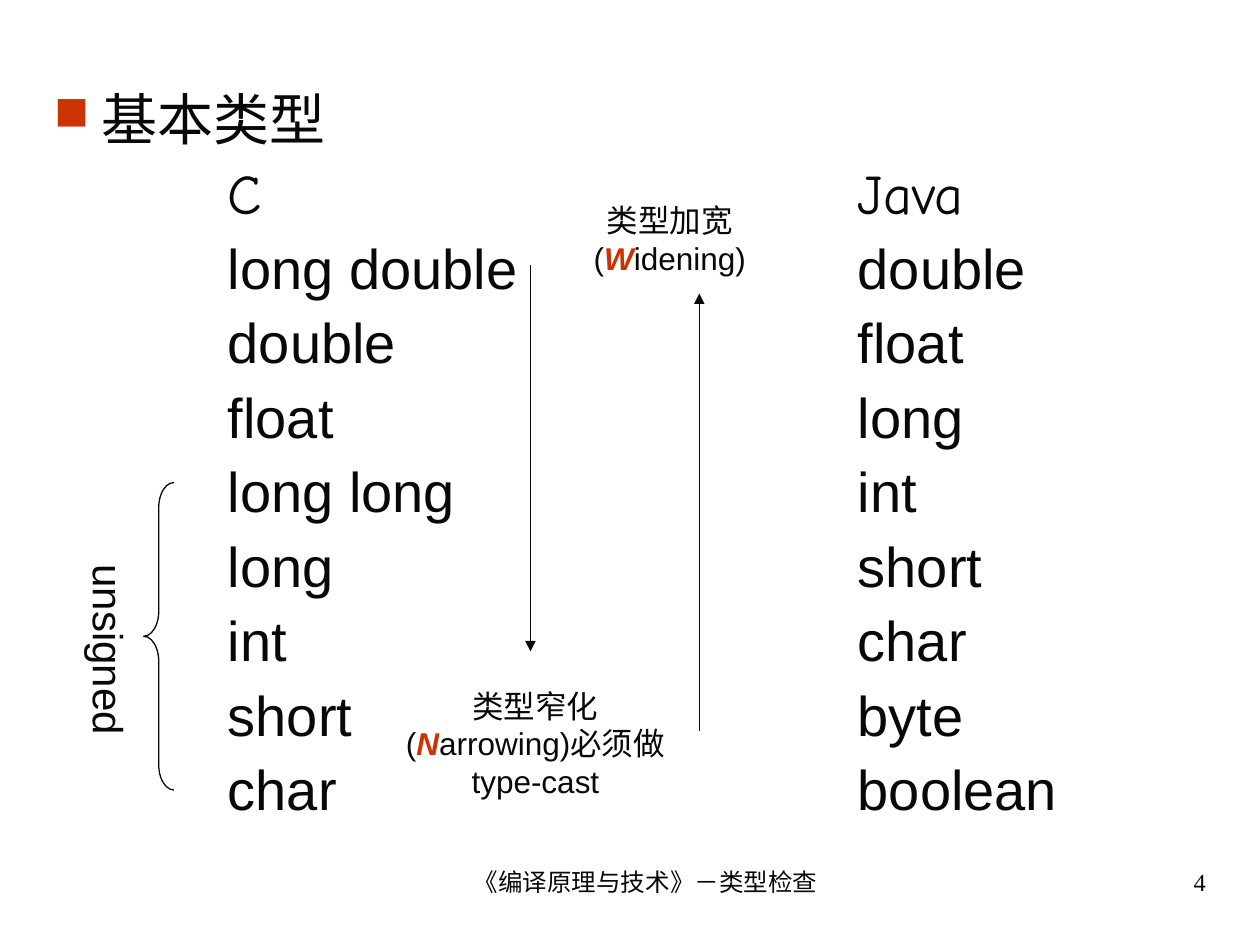
"""Build a slide that compares the basic types of C and Java."""
from lxml import etree
from pptx import Presentation
from pptx.dml.color import RGBColor
from pptx.enum.shapes import MSO_CONNECTOR, MSO_SHAPE
from pptx.enum.text import PP_ALIGN
from pptx.oxml.ns import qn
from pptx.util import Inches, Pt

STRAIGHT, LEFT_BRACE = MSO_CONNECTOR.STRAIGHT, MSO_SHAPE.LEFT_BRACE
LEFT, CENTER, RIGHT = PP_ALIGN.LEFT, PP_ALIGN.CENTER, PP_ALIGN.RIGHT
INK = RGBColor(0x08, 0x08, 0x08)
ACCENT = RGBColor(0xCC, 0x33, 0x00)

HEADING = "基本类型"
LANGUAGES = ("C", "Java")
TYPE_ROWS = [
    ("long double", "double"),
    ("double", "float"),
    ("float", "long"),
    ("long long", "int"),
    ("long", "short"),
    ("int", "char"),
    ("short", "byte"),
    ("char", "boolean"),
]
COLUMN_STOPS = (1.38, 6.38)
HEADING_INDENT = 0.38
CONVERSIONS = [
    (("类型窄化(", "N", "arrowing)必须做type-cast"), (3.03, 5.4, 2.44, 1), (4.21, 2.1, 4.21, 5.17)),
    (("类型加宽(", "W", "idening)"), (4.37, 1.55, 1.89, 0.7), (5.55, 5.8, 5.55, 2.33)),
]
FOOTERS = [
    ("《编译原理与技术》－类型检查", (3.54, 6.83, 3.17, 0.52), CENTER),
    ("4", (7.17, 6.83, 2.5, 0.52), RIGHT),
]


def add_element(parent, tag, **attributes):
    element = etree.SubElement(parent, qn(tag))
    for key, value in attributes.items():
        element.set(key, str(value))
    return element


def add_frame(slide, bounds):
    frame = slide.shapes.add_textbox(*map(Inches, bounds)).text_frame
    frame.word_wrap = True
    return frame


def add_run(paragraph, text, size, font="Arial", color=INK, emphasis=False):
    run = paragraph.add_run()
    run.text = text
    run.font.size = Pt(size)
    run.font.name = font
    run.font.color.rgb = color
    run.font.bold = run.font.italic = emphasis


def add_type_list(slide):
    frame = add_frame(slide, (0.33, 0.68, 9.34, 5.99))
    heading = frame.paragraphs[0]
    heading.line_spacing = 0.9
    properties = heading._p.get_or_add_pPr()
    properties.set("marL", str(Inches(HEADING_INDENT)))
    properties.set("indent", str(-Inches(HEADING_INDENT)))
    bullet_color = add_element(properties, "a:buClr")
    add_element(bullet_color, "a:srgbClr", val=ACCENT)
    add_element(properties, "a:buSzPct", val=85000)
    add_element(properties, "a:buChar", char="■")
    add_run(heading, HEADING, 32)

    for row in [LANGUAGES, *TYPE_ROWS]:
        line = frame.add_paragraph()
        line.line_spacing = 0.9
        line.space_before = Pt(8)
        stops = add_element(line._p.get_or_add_pPr(), "a:tabLst")
        for stop in COLUMN_STOPS:
            add_element(stops, "a:tab", pos=Inches(stop), algn="l")
        font = "Comic Neue" if row is LANGUAGES else "Arial"
        add_run(line, "".join("\t" + name for name in row), 32, font)


def add_arrow(slide, ends):
    arrow = slide.shapes.add_connector(STRAIGHT, *map(Inches, ends))
    arrow.line.color.rgb = INK
    arrow.line.width = Pt(0.75)
    add_element(arrow.line._get_or_add_ln(), "a:tailEnd", type="triangle")
    add_element(arrow._element.spPr, "a:effectLst")


def add_unsigned_group(slide):
    brace = slide.shapes.add_shape(LEFT_BRACE, *map(Inches, (1.14, 3.83, 0.24, 2.44)))
    brace.shadow.inherit = False
    brace.fill.background()
    brace.line.color.rgb = INK
    brace.line.width = Pt(0.75)
    brace.adjustments[0] = 0.83

    frame = add_frame(slide, (0.52, 4.38, 0.6, 1.65))
    frame.margin_left = frame.margin_right = Inches(0.05)
    frame.margin_top = frame.margin_bottom = Inches(0.1)
    frame._txBody.bodyPr.set("vert", "eaVert")
    add_run(frame.paragraphs[0], "unsigned", 24)


def main():
    presentation = Presentation()
    presentation.slide_width, presentation.slide_height = Inches(10), Inches(7.5)
    slide = presentation.slides.add_slide(presentation.slide_layouts[6])
    add_type_list(slide)
    add_unsigned_group(slide)
    for (before, initial, after), bounds, ends in CONVERSIONS:
        add_arrow(slide, ends)
        label = add_frame(slide, bounds).paragraphs[0]
        label.alignment = CENTER
        add_run(label, before, 18)
        add_run(label, initial, 18, color=ACCENT, emphasis=True)
        add_run(label, after, 18)
    for text, bounds, alignment in FOOTERS:
        footer = add_frame(slide, bounds).paragraphs[0]
        footer.alignment = alignment
        add_run(footer, text, 14, "Times New Roman")
    presentation.save("out.pptx")


if __name__ == "__main__":
    main()
